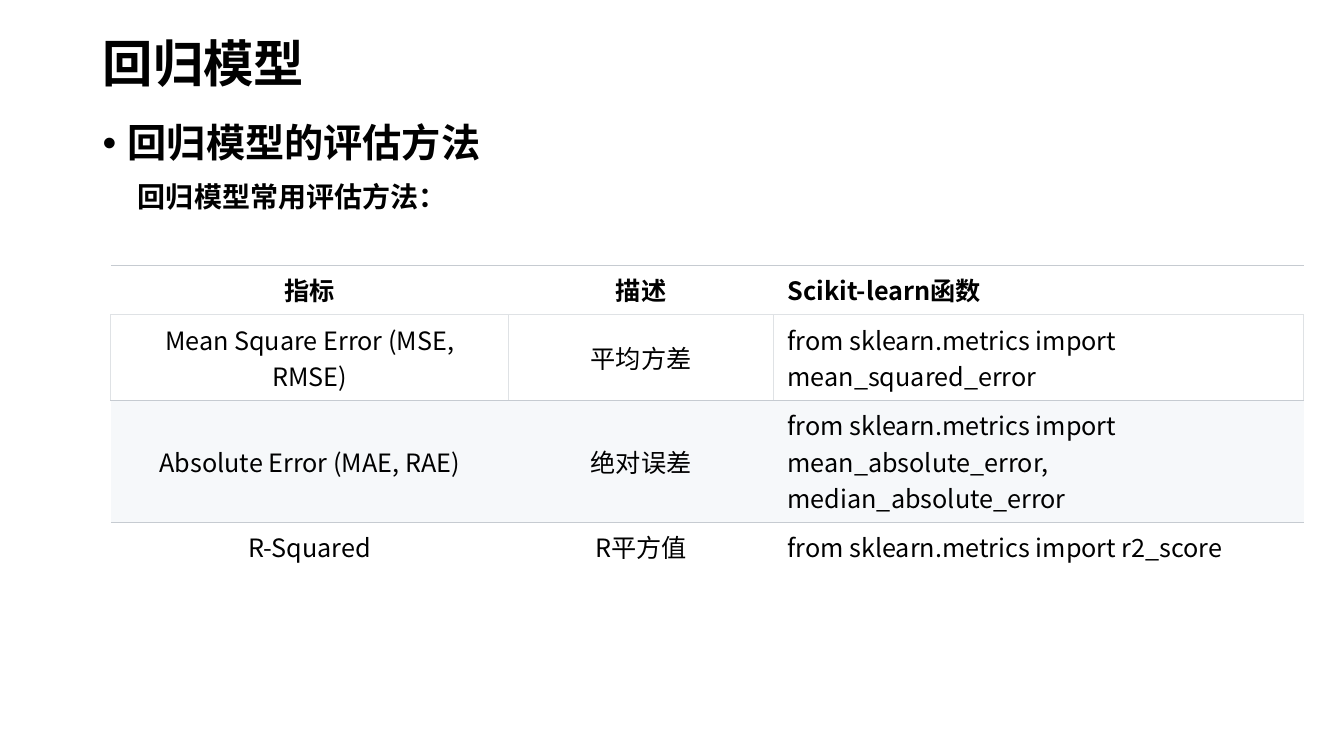
from dataclasses import dataclass

from pptx import Presentation, util as u
from pptx.dml.color import RGBColor
from pptx.enum import text
from pptx.oxml import parse_xml
from pptx.oxml.ns import nsdecls, qn


@dataclass(frozen=True)
class Theme:
    ink: str = "000000"
    paper: str = "FFFFFF"
    stripe: str = "F6F8FA"
    rule: str = "C6CBD1"
    grid: str = "DFE2E5"
    latin: str = "Arial"
    cjk: str = "Noto Sans CJK SC"
    title: int = 36
    heading: int = 28
    lead: int = 20
    cell: int = 18


T = Theme()
WIDTH, HEIGHT = 13.33, 7.5
LEFT, CONTENT_WIDTH = 0.92, 11.5

TABLE_LEFT, TABLE_TOP, TABLE_WIDTH = 1.1, 2.63, 11.83
COLUMN_SHARES = (3, 2, 4)
ROW_HEIGHTS = (0.49, 0.85, 1.21, 0.49)
METRICS = (
    ("指标", "描述", "Scikit-learn函数"),
    ("Mean Square Error (MSE, RMSE)", "平均方差",
     "from sklearn.metrics import mean_squared_error"),
    ("Absolute Error (MAE, RAE)", "绝对误差",
     "from sklearn.metrics import mean_absolute_error, median_absolute_error"),
    ("R-Squared", "R平方值", "from sklearn.metrics import r2_score"),
)
# Fill and border colours of each row; borders are keyed by side
ROW_STYLES = (
    (T.paper, {"T": T.rule, "B": T.grid}),
    (T.paper, {"L": T.grid, "R": T.grid, "T": T.grid, "B": T.rule}),
    (T.stripe, {"T": T.rule, "B": T.rule}),
    (T.paper, {"T": T.rule}),
)


def set_attrs(obj, values):
    for name, value in values.items():
        setattr(obj, name, value)


def write(p, content, size, bold=True, font=T.cjk, **layout):
    """Fill a paragraph with one run; layout holds paragraph properties."""
    set_attrs(p, layout)
    r = p.add_run()
    r.text = content
    set_attrs(r.font, {"name": font, "size": u.Pt(size), "bold": bold})
    r.font.color.rgb = RGBColor.from_string(T.ink)
    r.font._element.append(
        parse_xml(f'<a:ea {nsdecls("a")} typeface="{T.cjk}"/>'))


def indent(p, margin, first=0, bullet=None):
    pPr = p._p.get_or_add_pPr()
    pPr.set("marL", str(u.Inches(margin)))
    pPr.set("indent", str(u.Inches(first)))
    if bullet:
        for tag, key, value in (("buFont", "typeface", T.latin),
                                ("buChar", "char", bullet)):
            pPr.append(parse_xml(f'<a:{tag} {nsdecls("a")} {key}="{value}"/>'))


def add_text_box(s, top, height, anchor):
    sp = s.shapes.add_textbox(*map(u.Inches, (LEFT, top, CONTENT_WIDTH, height)))
    tf = sp.text_frame
    set_attrs(tf, {"word_wrap": True, "vertical_anchor": anchor})
    return tf


def add_title(s, content):
    tf = add_text_box(s, 0.4, 0.51, text.MSO_ANCHOR.MIDDLE)
    write(tf.paragraphs[0], content, T.title, font=T.latin, line_spacing=0.9)


def add_body(s, heading, lead):
    tf = add_text_box(s, 1.18, 6.07, text.MSO_ANCHOR.TOP)
    p = tf.paragraphs[0]
    write(p, heading, T.heading, line_spacing=0.9, space_before=u.Pt(10))
    indent(p, 0.25, -0.25, "•")
    p = tf.add_paragraph()
    write(p, lead, T.lead, line_spacing=0.9, space_before=u.Pt(12))
    indent(p, 0.35)


def set_borders(cell, colours):
    """Draw the given sides and hide the others."""
    tcPr = cell._tc.get_or_add_tcPr()
    for i, side in enumerate("LRTB"):
        colour = colours.get(side)
        paint = (f'<a:solidFill><a:srgbClr val="{colour}"/></a:solidFill>'
                 if colour else "<a:noFill/>")
        tcPr.insert(i, parse_xml(
            f'<a:ln{side} {nsdecls("a")} w="{u.Pt(0.75)}">{paint}</a:ln{side}>'))


def fill_cell(cell, content, fill, borders, bold, align):
    set_attrs(cell, {
        "margin_left": u.Inches(0.14), "margin_right": u.Inches(0.14),
        "margin_top": u.Inches(0.06), "margin_bottom": u.Inches(0.06),
        "vertical_anchor": text.MSO_ANCHOR.MIDDLE})
    cell.fill.solid()
    cell.fill.fore_color.rgb = RGBColor.from_string(fill)
    set_borders(cell, borders)
    write(cell.text_frame.paragraphs[0], content, T.cell, bold, alignment=align)


def add_metrics_table(s):
    frame = s.shapes.add_table(
        len(METRICS), len(COLUMN_SHARES),
        *map(u.Inches, (TABLE_LEFT, TABLE_TOP, TABLE_WIDTH, sum(ROW_HEIGHTS))))
    table = frame.table
    set_attrs(table, {"first_row": False, "horz_banding": False})
    # The plain style without grid
    table._tbl.tblPr.find(qn("a:tableStyleId")).text = (
        "{2D5ABB26-0587-4C30-8999-92F81FD0307C}")
    for column, share in zip(table.columns, COLUMN_SHARES):
        column.width = u.Inches(TABLE_WIDTH * share / sum(COLUMN_SHARES))
    for row, height in zip(table.rows, ROW_HEIGHTS):
        row.height = u.Inches(height)
    aligns = (text.PP_ALIGN.CENTER, text.PP_ALIGN.CENTER, text.PP_ALIGN.LEFT)
    for i, (contents, (fill, borders)) in enumerate(zip(METRICS, ROW_STYLES)):
        for j, (content, align) in enumerate(zip(contents, aligns)):
            fill_cell(table.cell(i, j), content, fill, borders, i == 0, align)


def main():
    prs = Presentation()
    set_attrs(prs, {"slide_width": u.Inches(WIDTH),
                    "slide_height": u.Inches(HEIGHT)})
    s = prs.slides.add_slide(prs.slide_layouts[6])
    add_title(s, "回归模型")
    add_body(s, "回归模型的评估方法", "回归模型常用评估方法：")
    add_metrics_table(s)
    prs.save("out.pptx")


if __name__ == "__main__":
    main()
